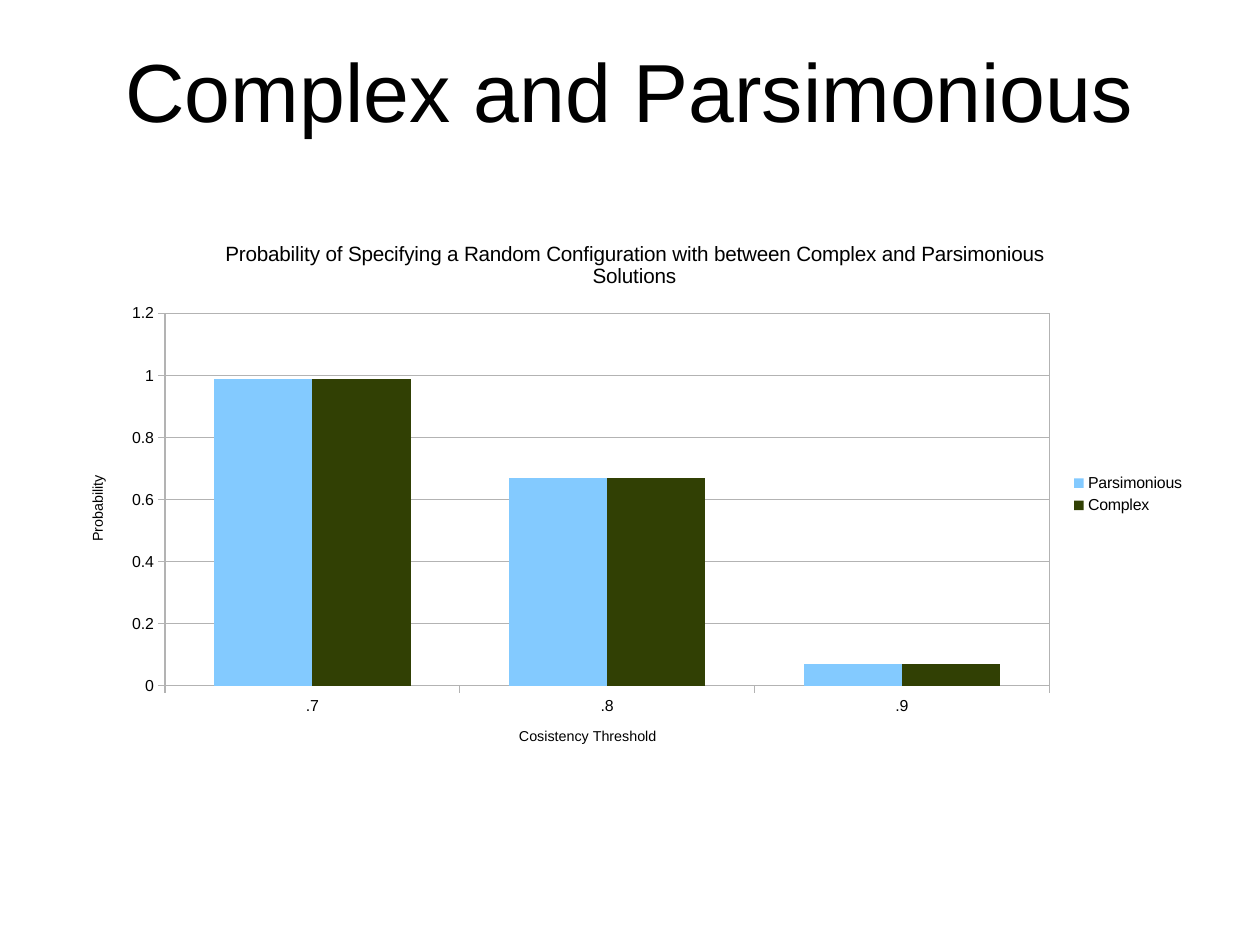
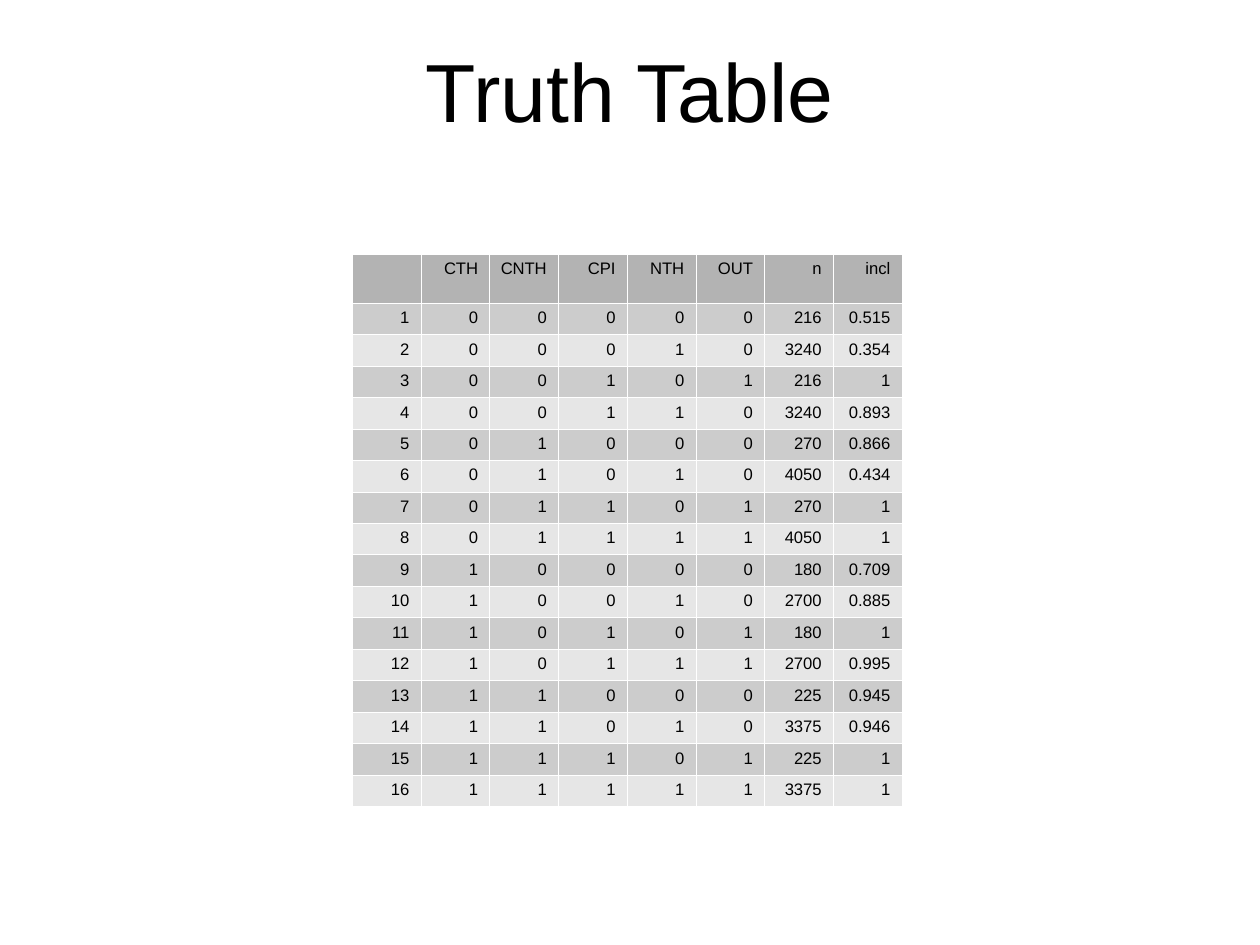
from itertools import product

from lxml.etree import SubElement
from pptx import Presentation
from pptx.chart.data import CategoryChartData
from pptx.dml.color import RGBColor
from pptx.enum.chart import XL_CHART_TYPE, XL_LEGEND_POSITION, XL_TICK_MARK
from pptx.enum.text import MSO_ANCHOR, PP_ALIGN
from pptx.oxml import parse_xml
from pptx.oxml.ns import nsdecls, qn
from pptx.util import Inches, Pt

COLORS = {
    "text": "000000",
    "paper": "FFFFFF",
    "rule": "B3B3B3",
    "header": "B3B3B3",
    "odd": "CCCCCC",
    "even": "E6E6E6",
    "parsimonious": "83CAFF",
    "complex": "314004",
}
FONT = "Arial"
CM_PER_INCH = 2.54
MARGIN = 0.55
CONTENT_WIDTH = 9.92

CATEGORIES = (".7", ".8", ".9")
SERIES = {
    "Parsimonious": (0.99, 0.67, 0.07),
    "Complex": (0.99, 0.67, 0.07),
}

HEADINGS = ("", "CTH", "CNTH", "CPI", "NTH", "OUT", "n", "incl")
OUTCOMES = (
    (0, 216, 0.515), (0, 3240, 0.354), (1, 216, 1), (0, 3240, 0.893),
    (0, 270, 0.866), (0, 4050, 0.434), (1, 270, 1), (1, 4050, 1),
    (0, 180, 0.709), (0, 2700, 0.885), (1, 180, 1), (1, 2700, 0.995),
    (0, 225, 0.945), (0, 3375, 0.946), (1, 225, 1), (1, 3375, 1),
)


def color(name):
    """Return the named colour."""
    return RGBColor.from_string(COLORS[name])


def style_font(font, size):
    """Apply the common typeface and colour at the given size."""
    font.name = FONT
    font.size = Pt(size)
    font.bold = False
    font.color.rgb = color("text")


def write(frame, text, size, align=None):
    """Fill a text frame with one formatted paragraph."""
    paragraph = frame.paragraphs[0]
    paragraph.alignment = align
    span = paragraph.add_run()
    span.text = text
    style_font(span.font, size)


def add_page(deck, title):
    """Add a white slide with its centred title."""
    page = deck.slides.add_slide(deck.slide_layouts[6])
    page.background.fill.solid()
    page.background.fill.fore_color.rgb = color("paper")
    box = page.shapes.add_textbox(
        Inches(MARGIN), Inches(0.31), Inches(CONTENT_WIDTH), Inches(0.94)
    )
    frame = box.text_frame
    frame.word_wrap = True
    frame.vertical_anchor = MSO_ANCHOR.MIDDLE
    frame.margin_left = frame.margin_right = 0
    frame.margin_top = frame.margin_bottom = 0
    write(frame, title, 51.9, PP_ALIGN.CENTER)
    return page


def place(element, index, **fractions):
    """Give a chart part a manual layout in fractions of the chart."""
    for layout in element.findall(qn("c:layout")):
        element.remove(layout)
    layout = parse_xml(f"<c:layout {nsdecls('c')}><c:manualLayout/></c:layout>")
    element.insert(index, layout)
    if "w" in fractions:
        SubElement(layout[0], qn("c:layoutTarget")).set("val", "inner")
    for key in ("x", "y"):
        SubElement(layout[0], qn(f"c:{key}Mode")).set("val", "edge")
    for key, value in fractions.items():
        SubElement(layout[0], qn(f"c:{key}")).set("val", str(value))


def add_chart_title(title, text, size, x, y):
    """Write a chart or axis title at the given position."""
    write(title.text_frame, text, size)
    place(title._element, 1, x=x, y=y)


def style_line(line):
    """Make a line a grey hairline."""
    line.color.rgb = color("rule")
    line.width = 0


def style_axis(axis):
    """Format an axis with grey line, outside ticks and small labels."""
    style_line(axis.format.line)
    axis.major_tick_mark = XL_TICK_MARK.OUTSIDE
    axis.minor_tick_mark = XL_TICK_MARK.NONE
    style_font(axis.tick_labels.font, 10)


def frame_plot(chart):
    """Position the plot area and outline it in grey."""
    area = chart._chartSpace.chart.plotArea
    place(area, 0, x=0.09, y=0.17, w=0.78, h=0.68)
    area.append(parse_xml(
        f"<c:spPr {nsdecls('c', 'a')}><a:noFill/><a:ln w='0'><a:solidFill>"
        f"<a:srgbClr val='{COLORS['rule']}'/></a:solidFill></a:ln></c:spPr>"
    ))


def add_probability_chart(page):
    """Add the clustered columns of probability by threshold."""
    data = CategoryChartData()
    data.categories = CATEGORIES
    for name, values in SERIES.items():
        data.add_series(name, values)
    chart = page.shapes.add_chart(
        XL_CHART_TYPE.COLUMN_CLUSTERED, Inches(MARGIN), Inches(1.93),
        Inches(CONTENT_WIDTH), Inches(4.79), data,
    ).chart
    style_font(chart.font, 10)
    plot = chart.plots[0]
    plot.gap_width = 100
    plot.overlap = 0
    plot.vary_by_categories = False
    for series in plot.series:
        series.format.fill.solid()
        series.format.fill.fore_color.rgb = color(series.name.lower())
    thresholds, scale = chart.category_axis, chart.value_axis
    for axis in (thresholds, scale):
        style_axis(axis)
    scale.minimum_scale, scale.maximum_scale, scale.major_unit = 0, 1.2, 0.2
    style_line(scale.major_gridlines.format.line)
    chart.has_legend = True
    chart.legend.position = XL_LEGEND_POSITION.RIGHT
    chart.legend.include_in_layout = False
    style_font(chart.legend.font, 10)
    add_chart_title(
        chart.chart_title,
        "Probability of Specifying a Random Configuration with between "
        "Complex and Parsimonious Solutions",
        13, 0.14, 0.03,
    )
    add_chart_title(thresholds.axis_title, "Cosistency Threshold", 9, 0.4, 0.92)
    add_chart_title(scale.axis_title, "Probability", 9, 0.02, 0.46)
    frame_plot(chart)


def style_cell(cell, fill):
    """Give a cell thin white borders, a solid fill and room for its text."""
    properties = cell._tc.get_or_add_tcPr()
    for side in "LRTB":
        properties.append(parse_xml(
            f"<a:ln{side} {nsdecls('a')} w='{Pt(0.06)}'><a:solidFill>"
            f"<a:srgbClr val='{COLORS['paper']}'/></a:solidFill></a:ln{side}>"
        ))
    cell.fill.solid()
    cell.fill.fore_color.rgb = color(fill)
    cell.margin_left = Inches(0.05)
    cell.margin_right = Inches(0.1)


def add_truth_table(page):
    """Add the table of all condition combinations and their outcomes."""
    combinations = product((0, 1), repeat=4)
    rows = [HEADINGS] + [
        (number, *conditions, *outcome)
        for number, (conditions, outcome) in enumerate(zip(combinations, OUTCOMES), 1)
    ]
    header_height, body_height = Inches(0.43), Inches(4.4)
    table = page.shapes.add_table(
        len(rows), len(HEADINGS), Inches(3.08), Inches(2.22),
        Inches(4.81), header_height + body_height,
    ).table
    table.first_row = table.horz_banding = False
    for index, values in enumerate(rows):
        fill = ("odd" if index % 2 else "even") if index else "header"
        table.rows[index].height = body_height // len(OUTCOMES) if index else header_height
        for column, value in enumerate(values):
            cell = table.cell(index, column)
            style_cell(cell, fill)
            if value != "":
                write(cell.text_frame, str(value), 10.5, PP_ALIGN.RIGHT)


def main():
    """Build and save the deck."""
    deck = Presentation()
    deck.slide_width = Inches(28 / CM_PER_INCH)
    deck.slide_height = Inches(21 / CM_PER_INCH)
    add_probability_chart(add_page(deck, "Complex and Parsimonious"))
    add_truth_table(add_page(deck, "Truth Table"))
    deck.save("out.pptx")


if __name__ == "__main__":
    main()
